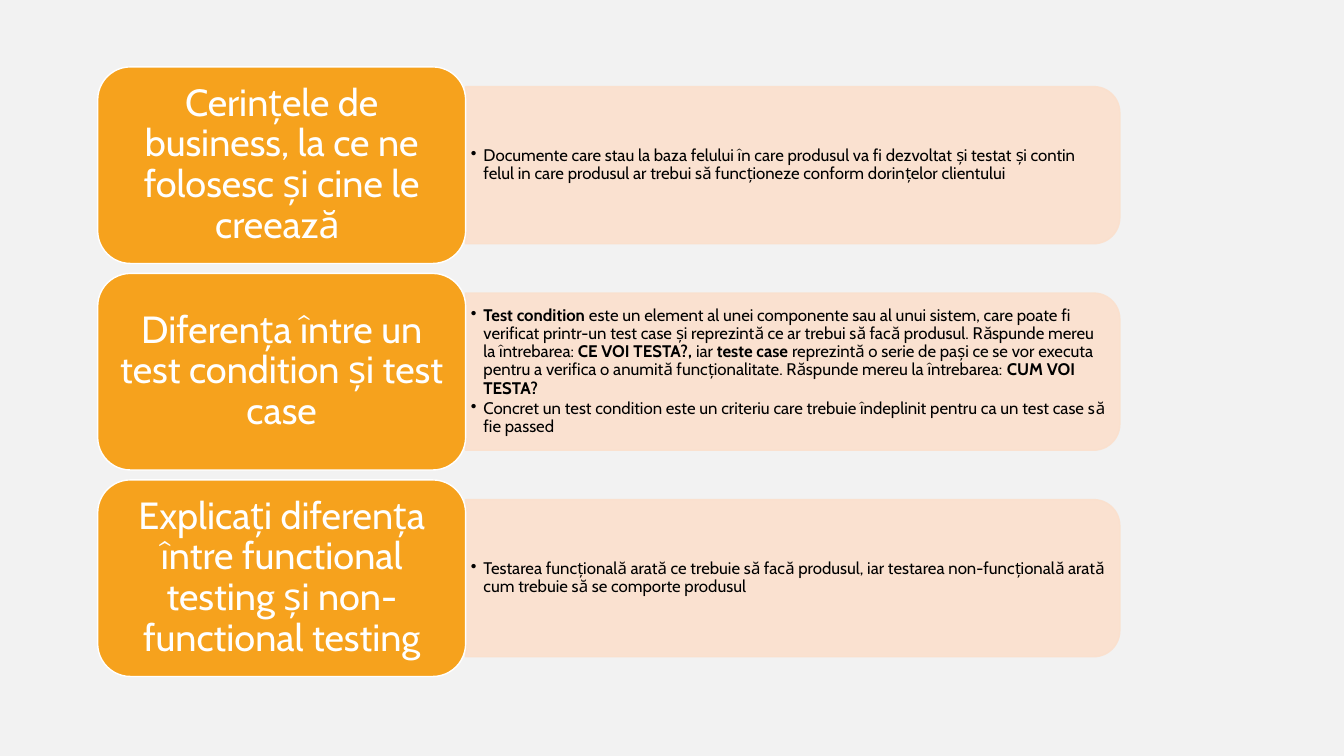
from dataclasses import dataclass
from typing import NamedTuple

from lxml.etree import SubElement
from pptx import Presentation
from pptx.dml.color import RGBColor
from pptx.enum.shapes import MSO_SHAPE
from pptx.enum.text import MSO_ANCHOR, PP_ALIGN
from pptx.oxml.ns import qn
from pptx.util import Pt


@dataclass(frozen=True)
class Theme:
    """Colours and type sizes of the slide."""

    background: RGBColor = RGBColor(0xF2, 0xF2, 0xF2)
    card: RGBColor = RGBColor(0xF6, 0xA2, 0x1D)
    card_text: RGBColor = RGBColor(0xFF, 0xFF, 0xFF)
    band: RGBColor = RGBColor(0xFB, 0xE0, 0xCD)
    band_text: RGBColor = RGBColor(0, 0, 0)
    band_alpha: int = 90000
    font: str = "Cabin"
    title_size: float = 27
    body_size: float = 12


class Box(NamedTuple):
    """A rectangle in points."""

    left: float
    top: float
    width: float
    height: float


class Span(NamedTuple):
    """A run of text with its weight."""

    text: str
    bold: bool = False


class TextStyle(NamedTuple):
    """Formatting shared by the paragraphs of one text box."""

    size: float
    color: RGBColor
    align: PP_ALIGN
    inset_x: float
    inset_y: float
    after_percent: int
    bulleted: bool


class Topic(NamedTuple):
    """A question card and the paragraphs of its answer."""

    title: str
    answer: list[list[Span]]


THEME = Theme()
TITLE = TextStyle(THEME.title_size, THEME.card_text, PP_ALIGN.CENTER, 7.5, 4, 35, False)
BODY = TextStyle(THEME.body_size, THEME.band_text, PP_ALIGN.LEFT, 3.75, 2, 15, True)
CARD = Box(69.8, 47.8, 262.8, 140.4)
BAND_W, BAND_H = 467.3, 112.3
BODY_W, BODY_H = 462, 101.5
PITCH = 147.5
PAD = 6.85
INDENT = 9

TOPICS = [
    Topic("Cerințele de business, la ce ne folosesc și cine le creează ", [
        [Span("Documente care stau la baza felului în care produsul va fi dezvoltat și testat "
              "și contin felul in care produsul ar trebui să funcționeze conform dorințelor "
              "clientului")],
    ]),
    Topic("Diferența între un test condition și test case", [
        [Span("Test condition ", True),
         Span("este un element al unei componente sau al unui sistem, care poate fi verificat "
              "printr-un test case și reprezintă ce ar trebui să facă produsul. Răspunde mereu "
              "la întrebarea: "),
         Span("CE VOI TESTA?, ", True),
         Span("iar"),
         Span(" teste case ", True),
         Span("reprezintă o serie de pași ce se vor executa pentru a verifica o anumită "
              "funcționalitate. Răspunde mereu la întrebarea: "),
         Span("CUM VOI TESTA?", True)],
        [Span("Concret un test condition este un criteriu care trebuie îndeplinit pentru ca un "
              "test case să fie passed")],
    ]),
    Topic("Explicați diferența între functional testing și non-functional testing", [
        [Span("Testarea funcțională arată ce trebuie să facă produsul, iar testarea "
              "non-funcțională arată cum trebuie să se comporte produsul")],
    ]),
]


def add_panel(s, kind: MSO_SHAPE, box: Box, fill: RGBColor, line: RGBColor):
    """Add a filled, outlined shape without shadow."""
    sp = s.shapes.add_shape(kind, *map(Pt, box))
    sp.shadow.inherit = False
    sp.fill.solid()
    sp.fill.fore_color.rgb = fill
    sp.line.color.rgb = line
    sp.line.width = Pt(1)
    return sp


def add_band(s, left: float, middle: float) -> None:
    """Add a translucent band, rounded on its right side only."""
    box = Box(left + (BAND_W - BAND_H) / 2, middle - BAND_W / 2, BAND_H, BAND_W)
    sp = add_panel(s, MSO_SHAPE.ROUND_2_SAME_RECTANGLE, box, THEME.band, THEME.band)
    sp.rotation = 90
    for clr in sp._element.spPr.iter(qn("a:srgbClr")):
        SubElement(clr, qn("a:alpha"), val=str(THEME.band_alpha))


def add_text(s, box: Box, paragraphs: list[list[Span]], style: TextStyle) -> None:
    """Add a vertically centred text box."""
    tf = s.shapes.add_textbox(*map(Pt, box)).text_frame
    frame = {"word_wrap": True, "vertical_anchor": MSO_ANCHOR.MIDDLE,
             "margin_left": Pt(style.inset_x), "margin_right": Pt(style.inset_x),
             "margin_top": Pt(style.inset_y), "margin_bottom": Pt(style.inset_y)}
    for name, value in frame.items():
        setattr(tf, name, value)
    for i, spans in enumerate(paragraphs):
        p = tf.add_paragraph() if i else tf.paragraphs[0]
        p.alignment = style.align
        p.line_spacing = 0.9
        pPr = p._p.get_or_add_pPr()
        after = SubElement(pPr, qn("a:spcAft"))
        SubElement(after, qn("a:spcPct"), val=str(style.after_percent * 1000))
        if style.bulleted:
            p.level = 1
            pPr.set("marL", str(Pt(INDENT)))
            pPr.set("indent", str(-Pt(INDENT)))
            SubElement(pPr, qn("a:buChar"), char="•")
        for span in spans:
            r = p.add_run()
            r.text = span.text
            r.font.color.rgb = style.color
            font = {"name": THEME.font, "size": Pt(style.size), "bold": span.bold}
            for name, value in font.items():
                setattr(r.font, name, value)


def add_topic(s, topic: Topic, card: Box) -> None:
    """Add one row: answer band, question card and their texts."""
    right, middle = card.left + card.width, card.top + card.height / 2
    add_band(s, right, middle)
    add_text(s, Box(right, middle - BODY_H / 2, BODY_W, BODY_H), topic.answer, BODY)
    add_panel(s, MSO_SHAPE.ROUNDED_RECTANGLE, card, THEME.card, THEME.card_text)
    inner = Box(card.left + PAD, card.top + PAD, card.width - 2 * PAD, card.height - 2 * PAD)
    add_text(s, inner, [[Span(topic.title)]], TITLE)


def main() -> None:
    """Build and save the slide."""
    prs = Presentation()
    prs.slide_width, prs.slide_height = Pt(960), Pt(540)
    s = prs.slides.add_slide(prs.slide_layouts[6])
    s.background.fill.solid()
    s.background.fill.fore_color.rgb = THEME.background
    for i, topic in enumerate(TOPICS):
        add_topic(s, topic, CARD._replace(top=CARD.top + i * PITCH))
    prs.save("out.pptx")


if __name__ == "__main__":
    main()
